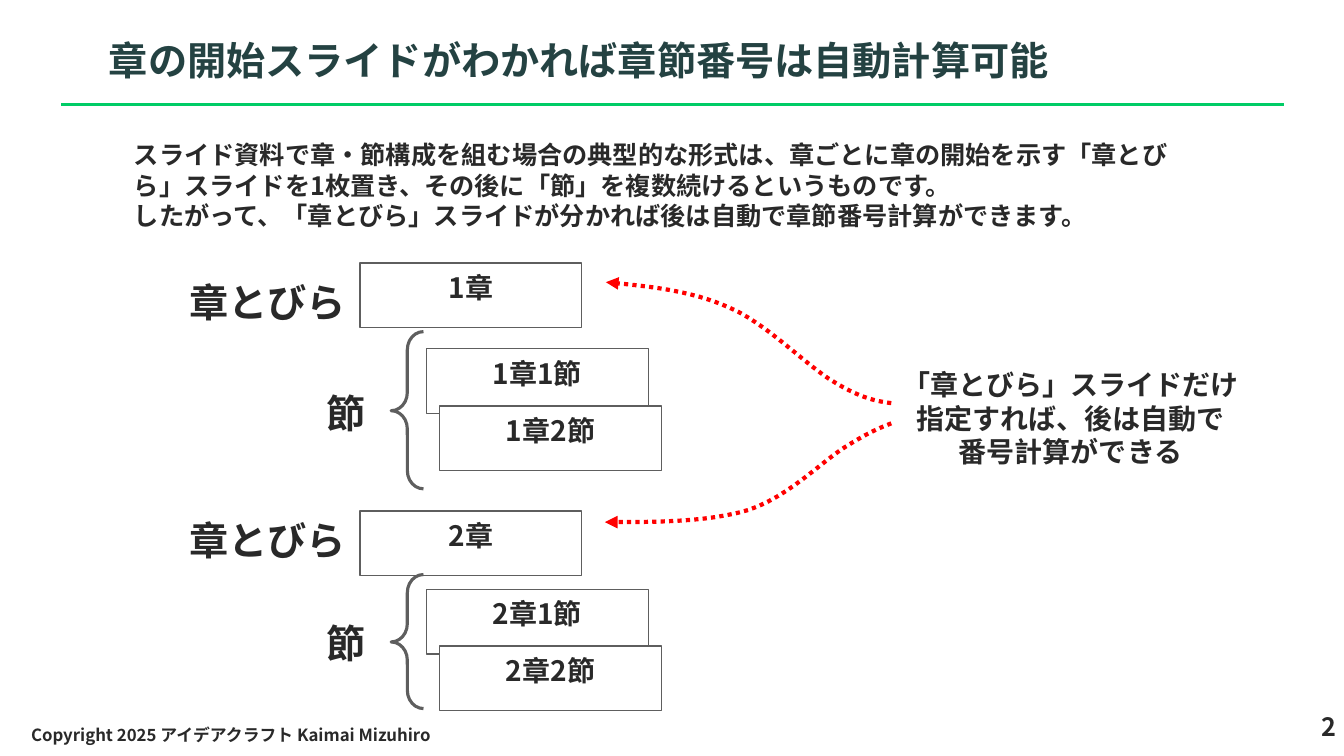
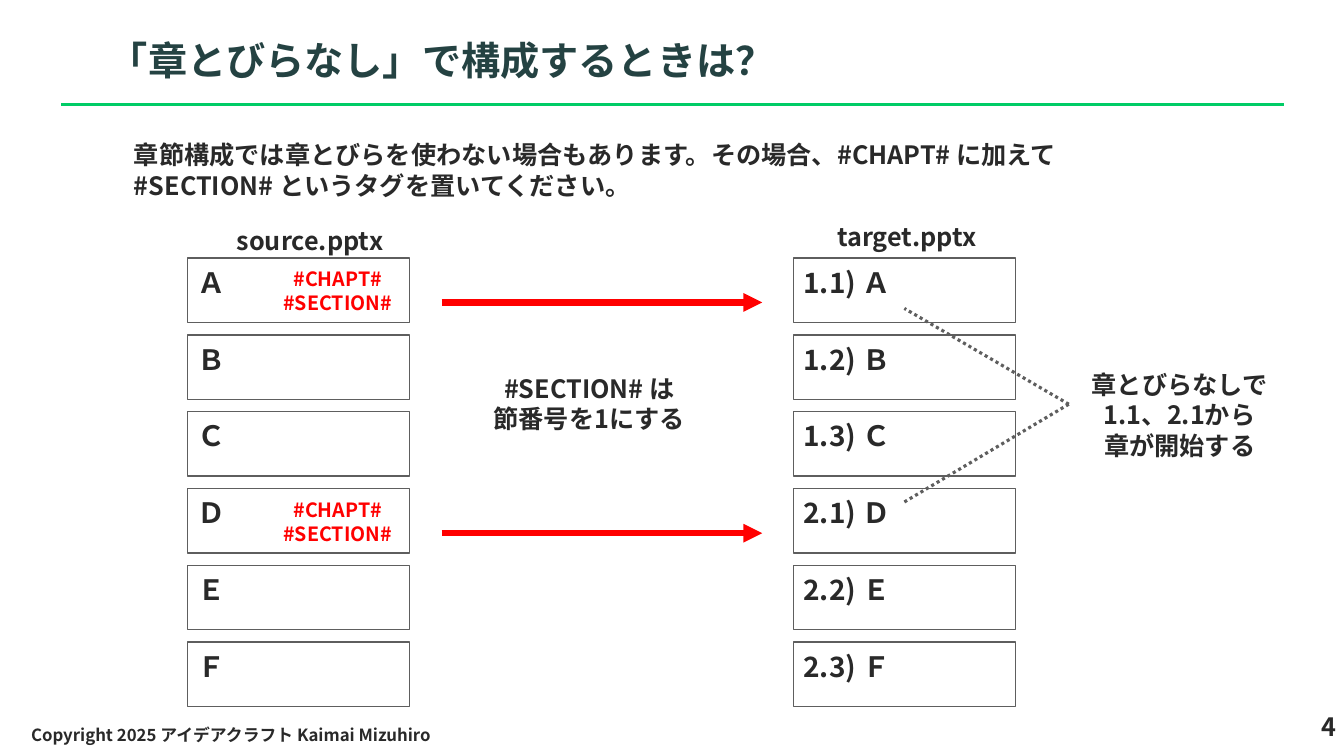
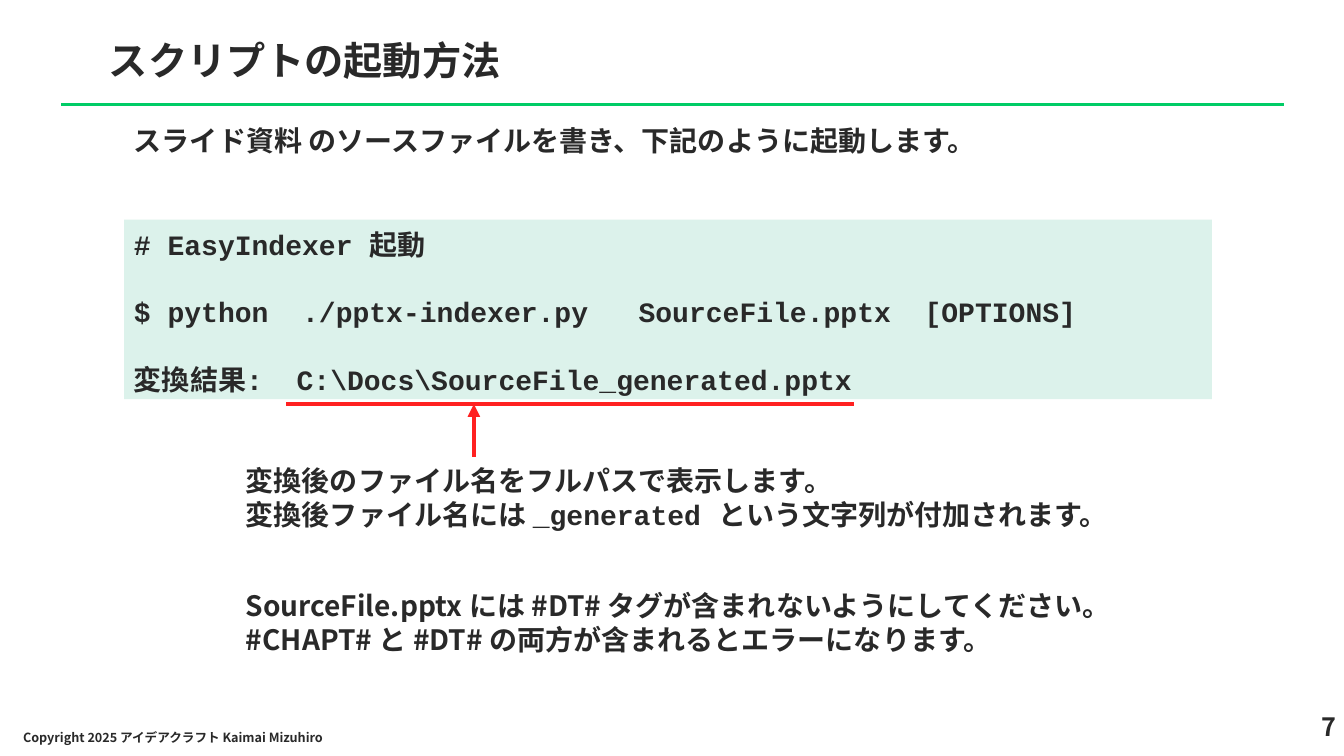
"""Build three slides on automatic chapter and section numbering."""
from dataclasses import dataclass
from lxml.etree import SubElement as Sub
from pptx import Presentation
from pptx.dml.color import RGBColor as Rgb
from pptx.enum.dml import MSO_LINE as Dash
from pptx.enum.shapes import MSO_CONNECTOR as Link, MSO_SHAPE as Kind
from pptx.enum.text import MSO_ANCHOR as Anchor, MSO_AUTO_SIZE as Auto, PP_ALIGN as Align
from pptx.oxml.ns import qn
from pptx.util import Inches, Pt


@dataclass(frozen=True)
class Theme:
    ink: str = "292929"
    head: str = "244242"
    green: str = "00CC66"
    mint: str = "DCF2EB"
    white: str = "FFFFFF"
    gray: str = "5E5E5E"
    red: str = "FF0000"
    mark: str = "FF2121"
    sans: str = "Noto Sans CJK JP"
    mono: str = "Courier New"
    title: int = 28
    large: int = 20
    body: int = 18
    tag: int = 14
    foot: int = 12
    small: int = 9
    lead: float = 1.21


T = Theme()


def stroke(shape, color, width, dash=None, arrow=False):
    shape.line.color.rgb = Rgb.from_string(color)
    shape.line.width = Pt(width)
    if dash:
        shape.line.dash_style = dash
    props = shape.element.spPr
    if arrow:
        Sub(props.find(qn("a:ln")), qn("a:tailEnd"), type="triangle")
    Sub(props, qn("a:effectLst"))


def write(shapes, at, text, size=T.body, align=Align.LEFT, color=T.ink, font=T.sans,
          anchor=Anchor.TOP, fill=None, edge=None, gap=0, into=None):
    place = [Inches(n) for n in at or ()]
    if into is None and fill:
        into = shapes.add_shape(Kind.RECTANGLE, *place)
        into.fill.solid()
        into.fill.fore_color.rgb = Rgb.from_string(fill)
        if edge:
            stroke(into, edge, 1)
        else:
            into.line.fill.background()
            into.shadow.inherit = False
    elif into is None:
        into = shapes.add_textbox(*place)
    frame = into.text_frame
    look = {"word_wrap": align != Align.CENTER, "auto_size": Auto.NONE,
            "vertical_anchor": anchor, "margin_left": Inches(0.1),
            "margin_right": Inches(0.1), "margin_top": Inches(0.07),
            "margin_bottom": Inches(0.05)}
    for key, val in look.items():
        setattr(frame, key, val)
    for i, row in enumerate(text.split("\n")):
        para = frame.add_paragraph() if i else frame.paragraphs[0]
        form = {"alignment": align, "line_spacing": Pt(size * T.lead),
                "space_before": Pt(gap if i else 0)}
        for key, val in form.items():
            setattr(para, key, val)
        for j, part in enumerate(row.split("`")):
            run = para.add_run()
            run.text = part
            face = {"size": Pt(size), "bold": True, "name": T.mono if j % 2 else font}
            for key, val in face.items():
                setattr(run.font, key, val)
            run.font.color.rgb = Rgb.from_string(color)
            Sub(run.font.element if hasattr(run.font, "element") else run._r.get_or_add_rPr(),
                qn("a:ea"), typeface=T.sans)


deck = Presentation()
deck.slide_width, deck.slide_height = Inches(13.33), Inches(7.5)
plan = deck.slide_layouts[5]
top = plan.placeholders[0]
top.left, top.top, top.width, top.height = map(Inches, (0.98, 0.29, 11.98, 0.71))

pages = []
near, wide = (0.13, 7.17, 5.52, 0.28), (0.21, 7.08, 6.06, 0.4)
for title, num, color, foot, size in (
        ("章の開始スライドがわかれば章節番号は自動計算可能", "2", T.head, wide, T.foot),
        ("「章とびらなし」で構成するときは？", "4", T.head, wide, T.foot),
        ("スクリプトの起動方法", "7", T.ink, near, T.small)):
    slide = deck.slides.add_slide(plan)
    write(None, None, title, T.title, color=color, into=slide.shapes.title)
    write(slide.shapes, (11.71, 6.98, 1.64, 0.5), num, align=Align.RIGHT)
    write(slide.shapes, foot, "Copyright 2025 アイデアクラフト Kaimai Mizuhiro",
          size, anchor=Anchor.MIDDLE)
    pages.append(slide.shapes)
first, second, third = pages

rule = first.add_connector(Link.STRAIGHT, *map(Inches, (0.61, 1.04, 12.73, 1.04)))
stroke(rule, T.green, 2.25)
plan.shapes.element.append(rule.element)

write(first, (1.23, 1.31, 10.55, 1.01),
      "スライド資料で章・節構成を組む場合の典型的な形式は、章ごとに章の開始を示す「章とびら」"
      "スライドを1枚置き、その後に「節」を複数続けるというものです。\n"
      "したがって、「章とびら」スライドが分かれば後は自動で章節番号計算ができます。")
card = {"fill": T.white, "edge": T.gray, "size": T.large}
mid = {"align": Align.CENTER}
for num, y, parts, door, node, brace, tall in (
        (1, 2.61, (3.46, 4.03), 2.69, 3.79, 3.29, 1.56),
        (2, 5.07, (5.85, 6.41), 5.05, 6.07, 5.7, 1.33)):
    write(first, (3.57, y, 2.2, 0.64), f"{num}章", **card, **mid)
    for i, part in enumerate(parts):
        write(first, (4.23 + 0.13 * i, part, 2.2, 0.64), f"{num}章{i + 1}節", **card, **mid)
    write(first, (1.6, door, 2.11, 0.47), "章とびら", T.title, **mid)
    write(first, (2.65, node, 1.57, 0.47), "節", T.title, **mid)
    curl = first.add_shape(Kind.LEFT_BRACE, *map(Inches, (3.88, brace, 0.32, tall)))
    curl.adjustments[0], curl.adjustments[1] = 0.565, 0.503
    curl.fill.background()
    stroke(curl, T.gray, 2.25)
write(first, (8.95, 3.57, 3.34, 1.23),
      "「章とびら」スライドだけ\n指定すれば、後は自動で\n番号計算ができる", T.large, **mid)

for knots in (
        ((8.84, 4.2), (8.74, 4.24), (8.63, 4.28), (8.39, 4.43), (8.16, 4.57),
         (7.82, 4.93), (7.42, 5.06), (7.02, 5.18), (6.51, 5.18), (6, 5.18)),
        ((8.84, 4), (8.7, 3.98), (8.56, 3.96), (8.29, 3.8), (8.02, 3.65),
         (7.61, 3.21), (7.23, 3.05), (6.85, 2.88), (6.43, 2.84), (6.01, 2.8))):
    dots = []
    for k in range(0, 9, 3):
        for t in (n / 12 for n in range(1, 13)):
            mix = ((1 - t) ** 3, 3 * t * (1 - t) ** 2, 3 * t * t * (1 - t), t ** 3)
            dots.append([Inches(sum(m * p[d] for m, p in zip(mix, knots[k:k + 4])))
                         for d in (0, 1)])
    pen = first.build_freeform(*map(Inches, knots[0]))
    pen.add_line_segments(dots, close=False)
    curve = pen.convert_to_shape()
    curve.fill.background()
    stroke(curve, T.red, 3, Dash.ROUND_DOT, True)

write(second, (1.23, 1.31, 10.55, 0.71),
      "章節構成では章とびらを使わない場合もあります。その場合、#CHAPT# に加えて"
      "#SECTION# というタグを置いてください。")
for x, y, name in ((1.47, 2.16, "source.pptx"), (7.39, 2.12, "target.pptx")):
    write(second, (x, y, 3.21, 0.4), name, **mid)
for i, mark in enumerate("ＡＢＣＤＥＦ"):
    y = 2.56 + 0.762 * i
    write(second, (1.86, y, 2.2, 0.64), mark, **card)
    write(second, (7.87, y, 2.2, 0.64), f"{i // 3 + 1}.{i % 3 + 1}) {mark}", **card)
    if i % 3 == 0:
        write(second, (2.64, y + 0.02, 1.42, 0.35), "#CHAPT#\n#SECTION#", T.tag,
              color=T.red, **mid)
write(second, (4.38, 3.63, 2.93, 0.84), "#SECTION# は\n節番号を1にする", **mid)
write(second, (10.6, 3.59, 2.2, 0.84), "章とびらなしで\n1.1、2.1から\n章が開始する", **mid)

write(third, (1.23, 1.15, 10.47, 0.44),
      "スライド資料 のソースファイルを書き、下記のように起動します。", T.large)
write(third, (1.23, 2.18, 10.79, 1.78),
      "# EasyIndexer 起動\n"
      "$ python  ./pptx-indexer.py   SourceFile.pptx  [OPTIONS]\n"
      "変換結果:  C:\\Docs\\SourceFile_generated.pptx",
      T.large, font=T.mono, fill=T.mint, gap=T.large * T.lead)
write(third, (2.34, 4.53, 8.5, 0.77),
      "変換後のファイル名をフルパスで表示します。\n"
      "変換後ファイル名には `_generated `という文字列が付加されます。", T.large)
write(third, (2.34, 5.77, 9.52, 0.77),
      "SourceFile.pptx には #DT# タグが含まれないようにしてください。\n"
      "#CHAPT# と #DT# の両方が含まれるとエラーになります。", T.large)

for shapes, ends, color, width, dash, arrow in (
        (second, (4.38, 3, 7.56, 3), T.red, 4.5, None, True),
        (second, (4.38, 5.29, 7.56, 5.29), T.red, 4.5, None, True),
        (second, (10.6, 4.01, 8.97, 3.06), T.gray, 2.25, Dash.ROUND_DOT, False),
        (second, (10.6, 4.01, 8.97, 4.98), T.gray, 2.25, Dash.ROUND_DOT, False),
        (third, (2.84, 4.01, 8.47, 4.01), T.mark, 3, None, False),
        (third, (4.7, 4.53, 4.7, 4.01), T.mark, 3, None, True)):
    line = shapes.add_connector(Link.STRAIGHT, *map(Inches, ends))
    stroke(line, color, width, dash, arrow)

deck.save("out.pptx")
